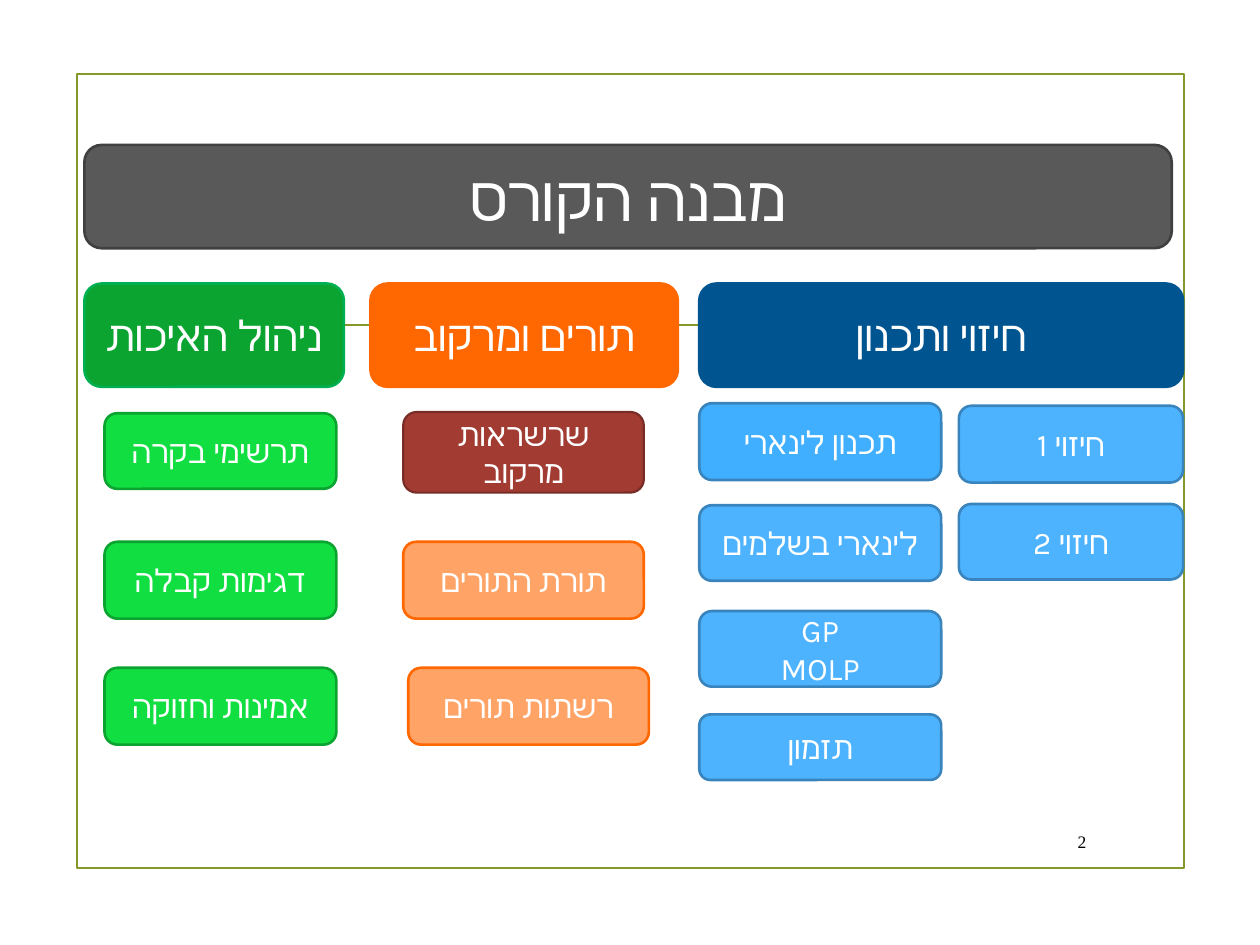
from dataclasses import dataclass

from lxml.etree import SubElement
from pptx import Presentation
from pptx.dml.color import RGBColor
from pptx.enum.shapes import MSO_CONNECTOR as Connector, MSO_SHAPE as Preset
from pptx.enum.text import MSO_ANCHOR as Anchor, PP_ALIGN as Align
from pptx.oxml.ns import qn
from pptx.util import Inches, Pt


@dataclass(frozen=True)
class Theme:
    font: str = "Karla"
    number_font: str = "Times New Roman"
    text: str = "FFFFFF"
    number: str = "000000"
    frame: str = "83992A"
    title_size: int = 36
    topic_size: int = 24
    lesson_size: int = 18
    number_size: int = 10
    thin: float = 1.25
    border: float = 1.5


@dataclass(frozen=True)
class Style:
    fill: str
    line: str
    weight: float = Theme.border


@dataclass(frozen=True)
class Lesson:
    text: str
    top: float
    height: float = 0.61
    shift: float = 0
    style: Style | None = None


@dataclass(frozen=True)
class Column:
    left: float
    width: float
    style: Style
    lessons: tuple[Lesson, ...]


@dataclass(frozen=True)
class Topic:
    text: str
    left: float
    width: float
    style: Style


THEME = Theme()
TITLE_BOX = (0.67, 1.15, 8.63, 0.82)
TITLE_STYLE = Style("595959", "404040")
TOPIC_TOP, TOPIC_HEIGHT = 2.25, 0.82

BLUE = Style("4DB3FF", "3984BD")
BRIGHT_BLUE = Style("40AFFF", "3984BD")
ORANGE = Style("FFA466", "FF6700")
RED = Style("A23C33", "782C26", THEME.thin)
GREEN = Style("10DE41", "0CA430")

TOPICS = (
    Topic("תורים ומרקוב", 2.94, 2.44, Style("FF6700", "FF6700")),
    Topic("ניהול האיכות", 0.67, 2.06, Style("0CA430", "00B050")),
    Topic("חיזוי ותכנון", 5.55, 3.84, Style("005490", "005490")),
)
COLUMNS = (
    Column(7.61, 1.78, BLUE, (
        Lesson("חיזוי 1", 3.22),
        Lesson("חיזוי 2", 4.0, 0.6),
    )),
    Column(5.55, 1.92, BLUE, (
        Lesson("תכנון לינארי", 3.2, style=BRIGHT_BLUE),
        Lesson("לינארי בשלמים", 4.01, 0.6),
        Lesson("GP\nMOLP", 4.85, 0.6),
        Lesson("תזמון", 5.67, 0.52),
    )),
    Column(3.2, 1.91, ORANGE, (
        Lesson("שרשראות מרקוב", 3.27, 0.64, style=RED),
        Lesson("תורת התורים", 4.3),
        Lesson("רשתות תורים", 5.3, shift=0.04),
    )),
    Column(0.83, 1.84, GREEN, (
        Lesson("תרשימי בקרה", 3.28, 0.6),
        Lesson("דגימות קבלה", 4.3),
        Lesson("אמינות וחזוקה", 5.3),
    )),
)


def color(value: str) -> RGBColor:
    return RGBColor.from_string(value)


def write_hebrew(shape, text: str, size: int) -> None:
    """Fill a shape with centred right-to-left text."""
    frame = shape.text_frame
    frame.text = text
    frame.word_wrap = True
    frame.vertical_anchor = Anchor.MIDDLE
    for paragraph in frame.paragraphs:
        paragraph.alignment = Align.CENTER
        font = paragraph.font
        font.size = Pt(size)
        font.color.rgb = color(THEME.text)
        font.name = THEME.font
        properties = paragraph._p.get_or_add_pPr()
        properties.set("rtl", "1")
        defaults = properties.find(qn("a:defRPr"))
        SubElement(defaults, qn("a:cs"), typeface=THEME.font)


def add_block(slide, box: tuple[float, ...], style: Style):
    block = slide.shapes.add_shape(Preset.ROUNDED_RECTANGLE, *map(Inches, box))
    block.shadow.inherit = False
    block.fill.solid()
    block.fill.fore_color.rgb = color(style.fill)
    block.line.color.rgb = color(style.line)
    block.line.width = Pt(style.weight)
    return block


def add_frame(slide) -> None:
    """Draw the page border and the rule behind the topics."""
    border = slide.shapes.add_shape(
        Preset.RECTANGLE, Inches(0.61), Inches(0.59), Inches(8.79), Inches(6.3))
    border.shadow.inherit = False
    border.fill.background()
    rule = slide.shapes.add_connector(
        Connector.STRAIGHT, Inches(1.4), Inches(2.58), Inches(8.61), Inches(2.58))
    SubElement(rule._element.spPr, qn("a:effectLst"))
    for outline in (border.line, rule.line):
        outline.color.rgb = color(THEME.frame)
        outline.width = Pt(THEME.thin)


def add_page_number(slide, number: str) -> None:
    box = slide.shapes.add_textbox(
        Inches(8.29), Inches(6.52), Inches(0.43), Inches(0.31))
    frame = box.text_frame
    frame.text = number
    frame.word_wrap = True
    frame.vertical_anchor = Anchor.MIDDLE
    paragraph = frame.paragraphs[0]
    paragraph.alignment = Align.RIGHT
    paragraph.font.size = Pt(THEME.number_size)
    paragraph.font.color.rgb = color(THEME.number)
    paragraph.font.name = THEME.number_font


def add_title(slide, text: str) -> None:
    """Place the title placeholder directly above its banner."""
    banner = add_block(slide, TITLE_BOX, TITLE_STYLE)
    title = slide.shapes.title
    title.left, title.top, title.width, title.height = map(Inches, TITLE_BOX)
    write_hebrew(title, text, THEME.title_size)
    banner._element.addnext(title._element)


def main() -> None:
    deck = Presentation()
    deck.slide_width, deck.slide_height = Inches(10), Inches(7.5)
    slide = deck.slides.add_slide(deck.slide_layouts.get_by_name("Title Only"))

    add_frame(slide)
    add_page_number(slide, "2")
    add_title(slide, "מבנה הקורס")
    for topic in TOPICS:
        box = (topic.left, TOPIC_TOP, topic.width, TOPIC_HEIGHT)
        write_hebrew(add_block(slide, box, topic.style), topic.text, THEME.topic_size)
    for column in COLUMNS:
        for lesson in column.lessons:
            box = (column.left + lesson.shift, lesson.top, column.width, lesson.height)
            block = add_block(slide, box, lesson.style or column.style)
            write_hebrew(block, lesson.text, THEME.lesson_size)

    deck.save("out.pptx")


if __name__ == "__main__":
    main()
